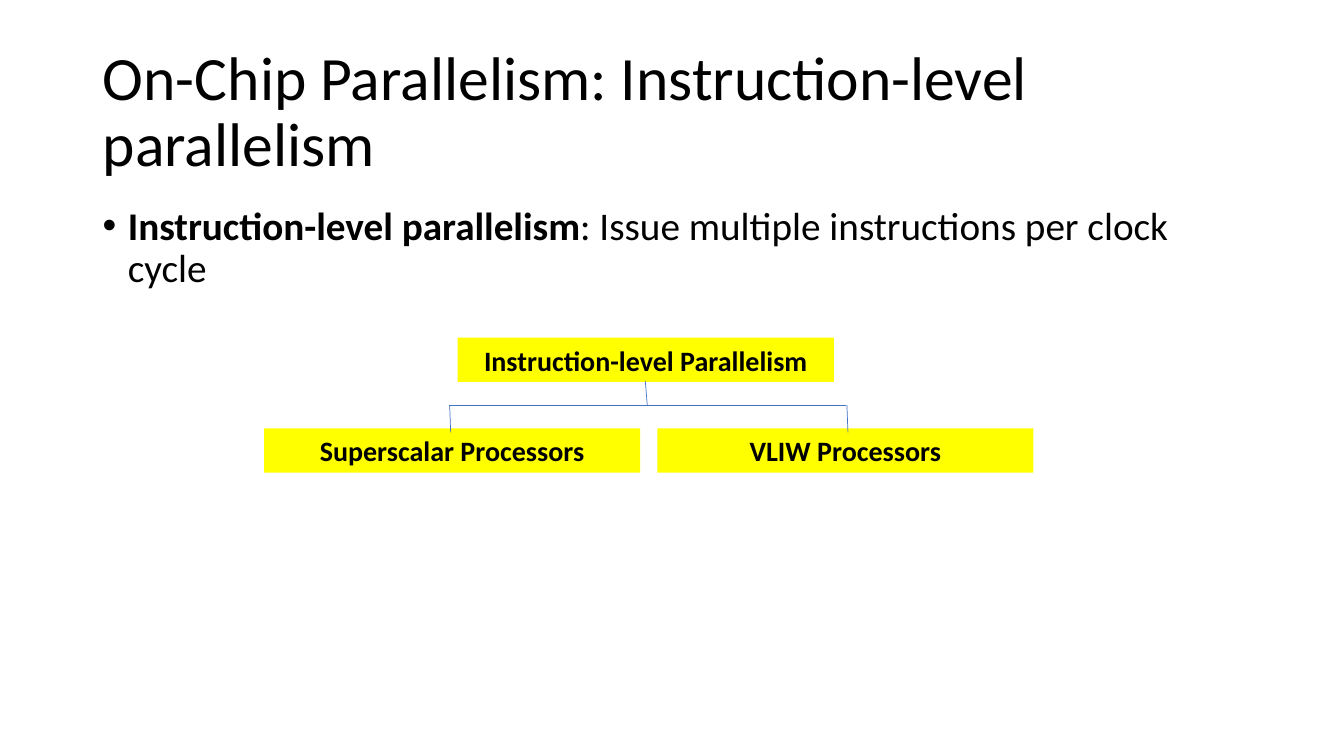
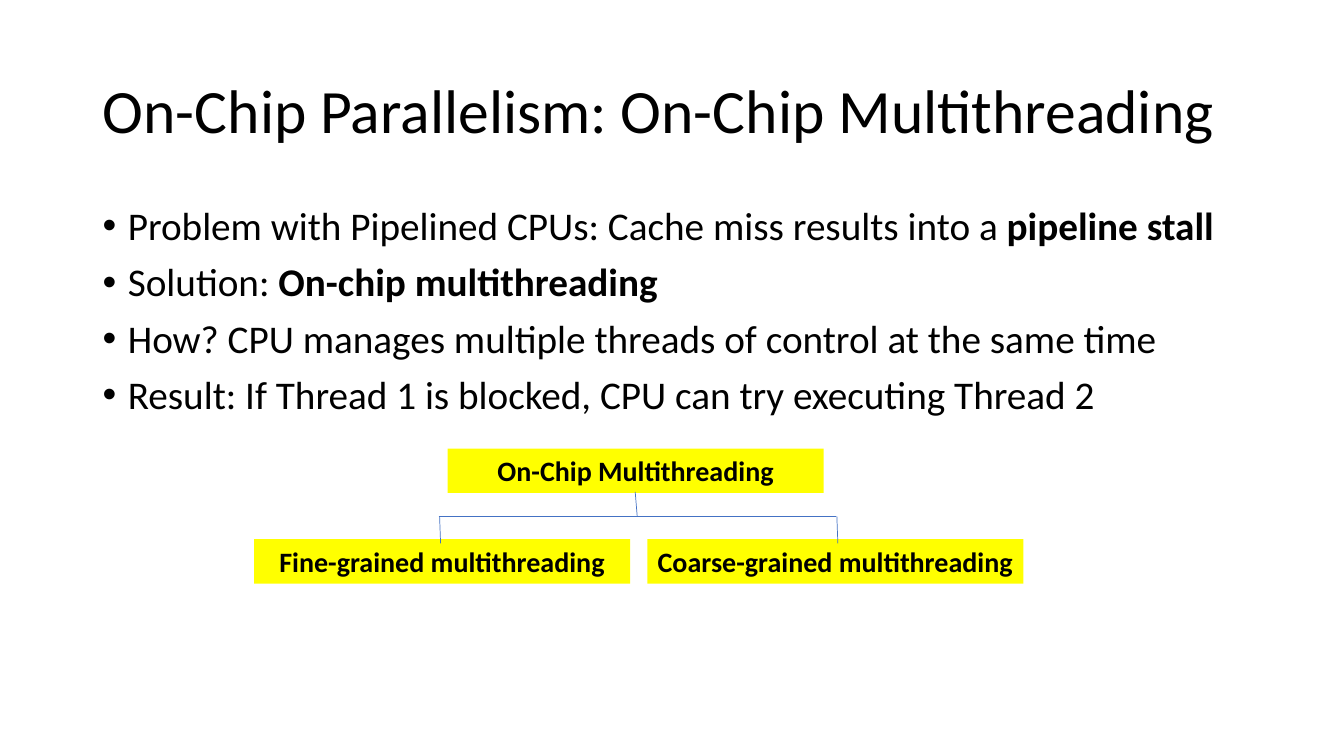
from lxml.etree import SubElement
from pptx import Presentation
from pptx.dml.color import RGBColor
from pptx.enum.shapes import MSO_CONNECTOR, MSO_SHAPE
from pptx.enum.text import MSO_ANCHOR, MSO_AUTO_SIZE, PP_ALIGN
from pptx.oxml.ns import qn
from pptx.util import Emu, Pt

SLIDES = [
    {
        "title": "On-Chip Parallelism: Instruction-level parallelism",
        "bullets": [
            [("Instruction-level parallelism", True),
             (": Issue multiple instructions per clock cycle", False)],
        ],
        "tree": ["Instruction-level Parallelism", "Superscalar Processors", "VLIW Processors"],
        "tree_at": (454, 335),
    },
    {
        "title": "On-Chip Parallelism: On-Chip Multithreading",
        "bullets": [
            [("Problem with Pipelined CPUs: Cache miss results into a ", False),
             ("pipeline stall", True)],
            [("Solution: ", False), ("On-chip multithreading", True)],
            [("How? CPU manages multiple threads of control at the same time", False)],
            [("Result: If Thread 1 is blocked, CPU can try executing Thread 2", False)],
        ],
        "tree": ["On-Chip Multithreading", "Fine-grained multithreading",
                 "Coarse-grained multithreading"],
        "tree_at": (444, 445),
    },
]

COLORS = {"text": "000000", "box": "FFFF00", "line": "4472C4"}
FONT = "Calibri"
EMU_PER_PX = 9144
SLIDE_SIZE = (1333, 750)
TITLE_AREA = (92, 40, 1150, 145)
BODY_AREA = (92, 200, 1150, 476)
BULLET_INDENT = 25
BOX_SIZE = (373, 44)
BOX_OFFSETS = [(0, 0), (-192, 90), (198, 90)]
BRANCH_OFFSETS = [
    (186, 43, 188, 67),
    (-9, 67, 385, 67),
    (-8, 67, -7, 94),
    (386, 67, 387, 94),
]


def px(*values):
    return [Emu(value * EMU_PER_PX) for value in values]


def color(name):
    return RGBColor.from_string(COLORS[name])


def style_paragraph(paragraph, size, bold=None, align=PP_ALIGN.LEFT):
    paragraph.alignment = align
    paragraph.font.name = FONT
    paragraph.font.size = Pt(size)
    paragraph.font.bold = bold
    paragraph.font.color.rgb = color("text")


def add_title(slide, text):
    title = slide.shapes.title
    title.left, title.top, title.width, title.height = px(*TITLE_AREA)
    frame = title.text_frame
    frame.text = text
    frame.word_wrap = True
    frame.auto_size = MSO_AUTO_SIZE.NONE
    frame.vertical_anchor = MSO_ANCHOR.MIDDLE
    paragraph = frame.paragraphs[0]
    style_paragraph(paragraph, 44)
    paragraph.line_spacing = 0.9


def add_bullets(slide, bullets):
    frame = slide.shapes.add_textbox(*px(*BODY_AREA)).text_frame
    frame.word_wrap = True
    for index, runs in enumerate(bullets):
        paragraph = frame.add_paragraph() if index else frame.paragraphs[0]
        style_paragraph(paragraph, 28)
        paragraph.line_spacing = 0.9
        paragraph.space_before = Pt(10)
        properties = paragraph._p.get_or_add_pPr()
        indent = BULLET_INDENT * EMU_PER_PX
        properties.set("marL", str(indent))
        properties.set("indent", str(-indent))
        bullet_font = SubElement(properties, qn("a:buFont"), typeface="Arial")
        bullet = SubElement(properties, qn("a:buChar"), char="•")
        properties.find(qn("a:defRPr")).addprevious(bullet_font)
        bullet_font.addnext(bullet)
        for text, bold in runs:
            run = paragraph.add_run()
            run.text = text
            run.font.bold = bold


def add_box(slide, text, left, top):
    box = slide.shapes.add_shape(MSO_SHAPE.RECTANGLE, *px(left, top, *BOX_SIZE))
    box.shadow.inherit = False
    box.fill.solid()
    box.fill.fore_color.rgb = color("box")
    box.line.fill.background()
    frame = box.text_frame
    frame.text = text
    frame.word_wrap = False
    frame.vertical_anchor = MSO_ANCHOR.MIDDLE
    style_paragraph(frame.paragraphs[0], 20, True, PP_ALIGN.CENTER)


def add_branch(slide, *ends):
    branch = slide.shapes.add_connector(MSO_CONNECTOR.STRAIGHT, *px(*ends))
    branch.line.color.rgb = color("line")
    branch.line.width = Pt(0.5)
    SubElement(branch._element.spPr, qn("a:effectLst"))


def add_tree(slide, labels, left, top):
    for label, (dx, dy) in zip(labels, BOX_OFFSETS):
        add_box(slide, label, left + dx, top + dy)
    for x1, y1, x2, y2 in BRANCH_OFFSETS:
        add_branch(slide, left + x1, top + y1, left + x2, top + y2)


def main():
    presentation = Presentation()
    presentation.slide_width, presentation.slide_height = px(*SLIDE_SIZE)
    for content in SLIDES:
        slide = presentation.slides.add_slide(presentation.slide_layouts[5])
        add_title(slide, content["title"])
        add_bullets(slide, content["bullets"])
        add_tree(slide, content["tree"], *content["tree_at"])
    presentation.save("out.pptx")


if __name__ == "__main__":
    main()
